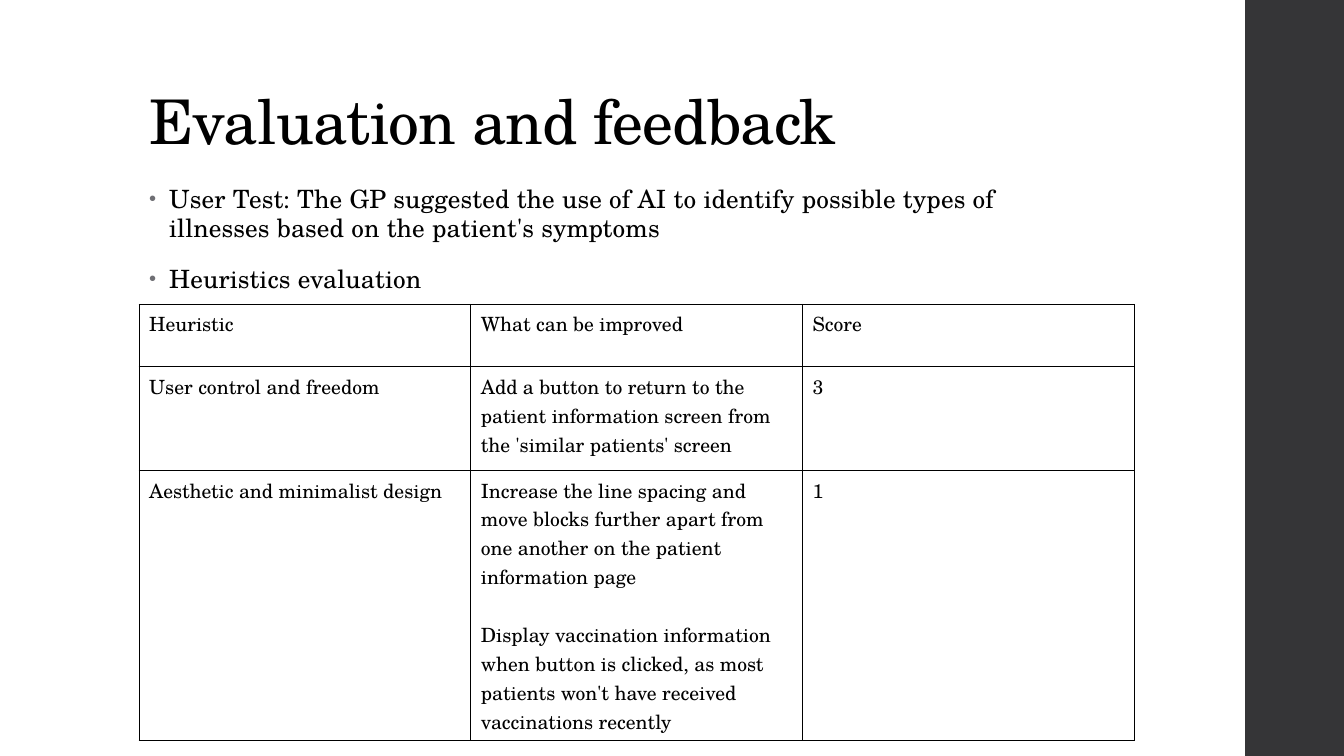
from lxml import etree
from pptx import Presentation
from pptx.dml.color import RGBColor
from pptx.enum.shapes import MSO_SHAPE as Shape
from pptx.enum.text import MSO_ANCHOR as Anchor
from pptx.oxml import parse_xml
from pptx.oxml.ns import nsdecls, qn
from pptx.util import Inches, Pt

# Content
TITLE = "Evaluation and feedback"
BULLETS = [
    "User Test: The GP suggested the use of AI to identify possible types of "
    "illnesses based on the patient's symptoms",
    "Heuristics evaluation",
]
# Each cell is a list of paragraphs
ROWS = [
    [["Heuristic"], ["What can be improved"], ["Score"]],
    [["User control and freedom"],
     ["Add a button to return to the patient information screen from "
      "the 'similar patients' screen"],
     ["3"]],
    [["Aesthetic and minimalist design"],
     ["Increase the line spacing and move blocks further apart from "
      "one another on the patient information page",
      "Display vaccination information when button is clicked, as most "
      "patients won't have received vaccinations recently"],
     ["1"]],
]

# Layout in inches
SLIDE_W, SLIDE_H = 13.33, 7.5
LEFT, BAR_LEFT = 1.38, 12.35
TABLE_TOP, COL_W = 3.02, 3.29
ROW_HEIGHTS = [0.62, 1.03, 2.68]
FONT, BLACK, BAR, BULLET = "TeX Gyre Schola", "000000", "353537", "6F6F74"


def color(hex_value):
    return RGBColor.from_string(hex_value)


def add_run(p, text, size, spacing=0):
    r = p.add_run()
    r.text = text
    r.font.size, r.font.name = Pt(size), FONT
    r.font.color.rgb = color(BLACK)
    if spacing:
        r._r.get_or_add_rPr().set("spc", str(round(spacing * 100)))


def add_text_box(slide, top, width, height, anchor):
    box = slide.shapes.add_textbox(*map(Inches, (LEFT, top, width, height)))
    tf = box.text_frame
    tf.word_wrap, tf.vertical_anchor = True, anchor
    return tf


def paragraphs(tf, texts):
    for i, text in enumerate(texts):
        yield i, tf.paragraphs[0] if i == 0 else tf.add_paragraph(), text


def add_bullet(p):
    pPr = p._p.get_or_add_pPr()
    pPr.set("marL", str(Inches(0.2)))
    pPr.set("indent", str(Inches(-0.2)))
    clr = etree.SubElement(pPr, qn("a:buClr"))
    etree.SubElement(clr, qn("a:srgbClr"), val=BULLET)
    etree.SubElement(pPr, qn("a:buSzPct"), val="80000")
    etree.SubElement(pPr, qn("a:buFont"), typeface="Arial")
    etree.SubElement(pPr, qn("a:buChar"), char="•")


def add_borders(cell):
    tcPr = cell._tc.get_or_add_tcPr()
    for i, side in enumerate(("lnL", "lnR", "lnT", "lnB")):
        tcPr.insert(i, parse_xml(
            f'<a:{side} {nsdecls("a")} w="12700"><a:solidFill>'
            f'<a:srgbClr val="{BLACK}"/></a:solidFill></a:{side}>'))


prs = Presentation()
prs.slide_width, prs.slide_height = Inches(SLIDE_W), Inches(SLIDE_H)
slide = prs.slides.add_slide(prs.slide_layouts[6])

# Side bar
sp = slide.shapes.add_shape(Shape.RECTANGLE, Inches(BAR_LEFT), 0,
                            Inches(SLIDE_W - BAR_LEFT), prs.slide_height)
sp.shadow.inherit = False
sp.fill.solid()
sp.fill.fore_color.rgb = color(BAR)
sp.line.fill.background()

# Title
p = add_text_box(slide, 0.16, 10.6, 1.45, Anchor.BOTTOM).paragraphs[0]
p.line_spacing = 0.9
add_run(p, TITLE, 44, -0.5)

# Bullets
tf = add_text_box(slide, 1.79, 9.4, 1.2, Anchor.TOP)
for i, p, text in paragraphs(tf, BULLETS):
    add_bullet(p)
    p.line_spacing = 0.95
    p.space_before, p.space_after = Pt(14 if i else 0), Pt(2)
    add_run(p, text, 18, 0.1)

# Heuristics table
frame = slide.shapes.add_table(
    len(ROWS), len(ROWS[0]), Inches(LEFT), Inches(TABLE_TOP),
    Inches(COL_W * len(ROWS[0])), Inches(sum(ROW_HEIGHTS)))
table = frame.table
table.first_row = table.horz_banding = False
for col in table.columns:
    col.width = Inches(COL_W)
for row, height, contents in zip(table.rows, ROW_HEIGHTS, ROWS):
    row.height = Inches(height)
    for cell, texts in zip(row.cells, contents):
        cell.fill.background()
        add_borders(cell)
        for i, p, text in paragraphs(cell.text_frame, texts):
            if i:
                p.space_before = Pt(20.6)  # one line
            add_run(p, text, 14)

prs.save("out.pptx")
